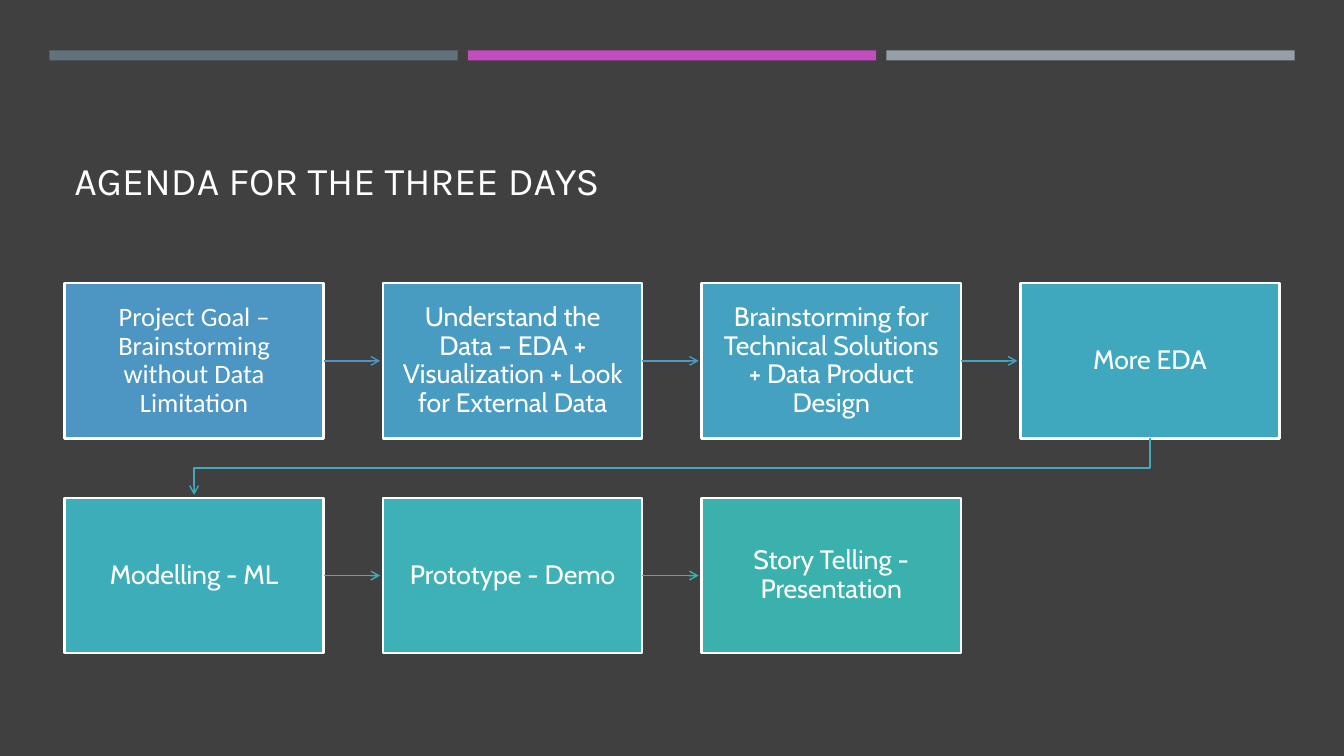
import pptx
import pptx.dml.color
import pptx.enum.shapes
import pptx.enum.text
import pptx.oxml
import pptx.oxml.ns
import pptx.util
from pptx.util import Inches

COLORS = {
    "background": "404040",
    "white": "FFFFFF",
    "slate": "60727A",
    "magenta": "C34DBE",
    "silver": "969FA7",
}

STEPS = [
    ("Project Goal – Brainstorming without Data Limitation", "4D96C3", "4D96C3"),
    ("Understand the Data – EDA + Visualization + Look for External Data", "489CC2", "489DC1"),
    ("Brainstorming for Technical Solutions + Data Product Design", "44A2C0", "42A5C0"),
    ("More EDA", "40A8BE", "3FABBC"),
    ("Modelling - ML", "3EADBA", "3DB0B6"),
    ("Prototype - Demo", "3DB1B5", "3BB1AD"),
    ("Story Telling - Presentation", "3BB1AD", None),
]

COLUMNS = 4
LEFT, TOP = 0.64, 2.81
BOX_WIDTH, BOX_HEIGHT = 2.57, 1.54
COLUMN_STEP, ROW_STEP = 3.16, 2.13
ARROW_GAP = 0.03


class AgendaSlide:
    title_font = "Karla"
    body_font = "Cabin"

    def __init__(self, slide):
        self.slide = slide
        self.shapes = slide.shapes
        fill = slide.background.fill
        fill.solid()
        fill.fore_color.rgb = self.color(COLORS["background"])

    def color(self, value):
        return pptx.dml.color.RGBColor.from_string(value)

    def style_paragraph(self, paragraph, font, size):
        paragraph.font.name = font
        paragraph.font.size = pptx.util.Pt(size)
        paragraph.font.color.rgb = self.color(COLORS["white"])

    def title(self, text, left, top, width, height):
        box = self.shapes.add_textbox(Inches(left), Inches(top), Inches(width), Inches(height))
        frame = box.text_frame
        frame.word_wrap = True
        frame.vertical_anchor = pptx.enum.text.MSO_ANCHOR.BOTTOM
        frame.text = text
        self.style_paragraph(frame.paragraphs[0], self.title_font, 28)

    def rectangle(self, left, top, width, height, fill):
        shape = self.shapes.add_shape(
            pptx.enum.shapes.MSO_SHAPE.RECTANGLE,
            Inches(left), Inches(top), Inches(width), Inches(height))
        shape.shadow.inherit = False
        shape.fill.solid()
        shape.fill.fore_color.rgb = self.color(fill)
        shape.line.fill.background()
        return shape

    def step_box(self, text, left, top, fill, font):
        shape = self.rectangle(left, top, BOX_WIDTH, BOX_HEIGHT, fill)
        shape.line.color.rgb = self.color(COLORS["white"])
        shape.line.width = pptx.util.Pt(1.75)
        frame = shape.text_frame
        frame.word_wrap = True
        frame.vertical_anchor = pptx.enum.text.MSO_ANCHOR.MIDDLE
        frame.margin_left = frame.margin_right = Inches(0.13)
        frame.margin_top = frame.margin_bottom = Inches(0.13)
        frame.text = text
        paragraph = frame.paragraphs[0]
        paragraph.alignment = pptx.enum.text.PP_ALIGN.CENTER
        paragraph.line_spacing = 0.9
        self.style_paragraph(paragraph, font, 19)
        return shape

    def arrow_line(self, line, color):
        line.color.rgb = self.color(color)
        line.width = pptx.util.Pt(1)
        properties = line._get_or_add_ln()
        tail = pptx.oxml.parse_xml(
            f'<a:tailEnd {pptx.oxml.ns.nsdecls("a")} type="arrow"/>')
        properties.append(tail)

    def arrow(self, box, start, end, color):
        connector = self.shapes.add_connector(
            pptx.enum.shapes.MSO_CONNECTOR.STRAIGHT,
            *(Inches(length) for length in start + end))
        connector.begin_connect(box, 3)
        self.arrow_line(connector.line, color)
        connector._element.spPr.append(
            pptx.oxml.parse_xml(f'<a:effectLst {pptx.oxml.ns.nsdecls("a")}/>'))

    def bent_arrow(self, points, color):
        corners = [(Inches(x), Inches(y)) for x, y in points]
        builder = self.shapes.build_freeform(*corners[0])
        builder.add_line_segments(corners[1:], close=False)
        shape = builder.convert_to_shape()
        shape.shadow.inherit = False
        shape.fill.background()
        self.arrow_line(shape.line, color)


def main():
    presentation = pptx.Presentation()
    presentation.slide_width = Inches(13.33)
    presentation.slide_height = Inches(7.5)
    agenda = AgendaSlide(presentation.slides.add_slide(presentation.slide_layouts[6]))

    agenda.title("AGENDA FOR THE THREE DAYS", 0.64, 0.77, 12.06, 1.3)
    for index, name in enumerate(("slate", "magenta", "silver")):
        agenda.rectangle(0.49 + index * 4.15, 0.5, 4.05, 0.1, COLORS[name])

    for index, (text, fill, arrow_color) in enumerate(STEPS):
        row, column = divmod(index, COLUMNS)
        left, top = LEFT + column * COLUMN_STEP, TOP + row * ROW_STEP
        font = "Calibri" if index == 0 else agenda.body_font
        box = agenda.step_box(text, left, top, fill, font)
        if arrow_color is None:
            continue
        if column < COLUMNS - 1:
            middle = top + BOX_HEIGHT / 2
            agenda.arrow(box, (left + BOX_WIDTH, middle),
                         (left + COLUMN_STEP - ARROW_GAP, middle), arrow_color)
        else:
            start_x, end_x = left + BOX_WIDTH / 2, LEFT + BOX_WIDTH / 2
            bottom, next_top = top + BOX_HEIGHT, top + ROW_STEP
            bend = (bottom + next_top) / 2
            agenda.bent_arrow([(start_x, bottom), (start_x, bend), (end_x, bend),
                               (end_x, next_top - ARROW_GAP)], arrow_color)

    presentation.save("out.pptx")


if __name__ == "__main__":
    main()
